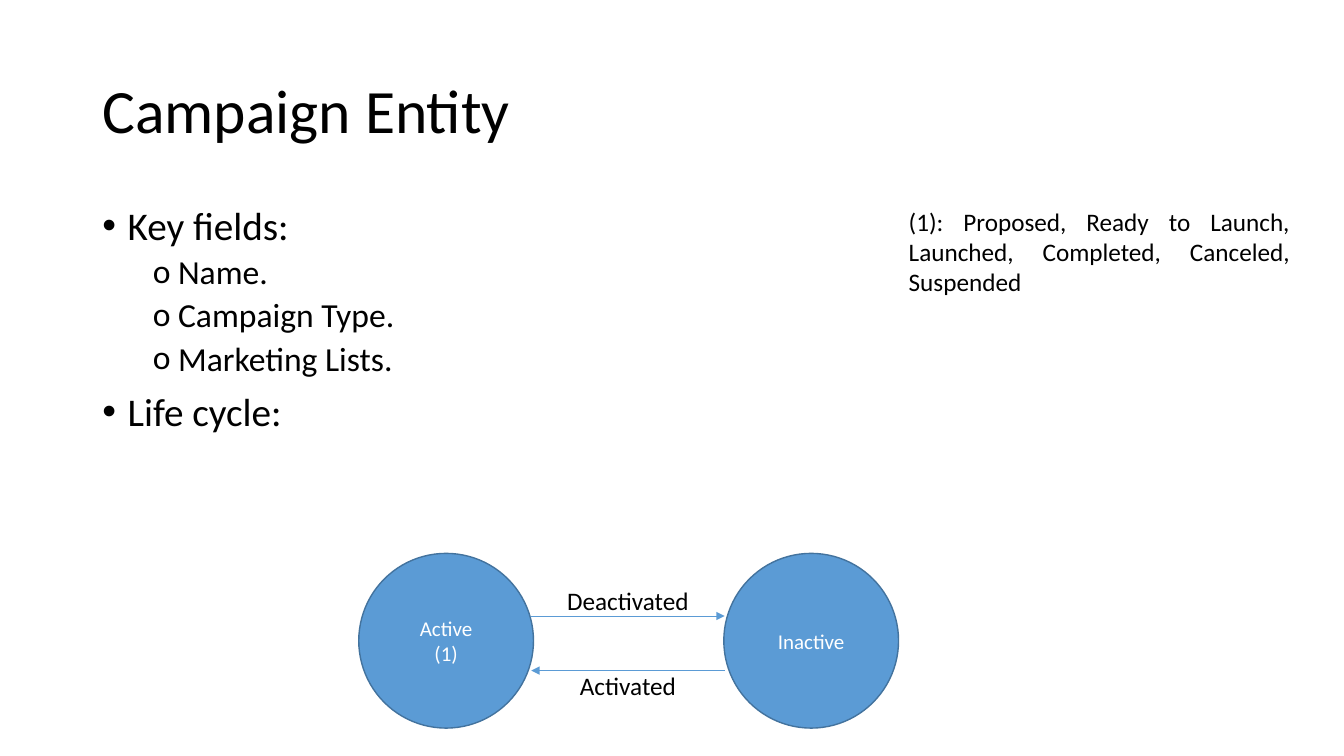
from dataclasses import dataclass
from lxml.etree import SubElement
from pptx import Presentation
from pptx.dml.color import RGBColor as RGB
from pptx.enum.shapes import MSO_CONNECTOR as Link, MSO_SHAPE as Shape
from pptx.enum.text import MSO_ANCHOR as Anchor, MSO_AUTO_SIZE as Fit, PP_ALIGN as Align
from pptx.oxml.ns import qn
from pptx.util import Pt


@dataclass(frozen=True)
class Theme:
    face: str = "Calibri"
    ink: RGB = RGB(0, 0, 0)
    pale: RGB = RGB(255, 255, 255)
    blue: RGB = RGB(0x5B, 0x9B, 0xD5)
    edge: RGB = RGB(0x43, 0x73, 0x9E)
    title: int = 44
    body: tuple = (28, 24)
    state: int = 15
    note: int = 18


theme = Theme()


def style(para, size, color, align):
    para.alignment = align
    para.font.name = theme.face
    para.font.size = Pt(size)
    para.font.color.rgb = color


def label(text, left, top, width, height, align):
    box = slide.shapes.add_textbox(Pt(left), Pt(top), Pt(width), Pt(height))
    frame = box.text_frame
    frame.word_wrap = True
    frame.auto_size = Fit.SHAPE_TO_FIT_TEXT
    frame.text = text
    style(frame.paragraphs[0], theme.note, theme.ink, align)


deck = Presentation()
deck.slide_width, deck.slide_height = Pt(960), Pt(540)
slide = deck.slides.add_slide(deck.slide_layouts[1])

title, body = slide.placeholders
for holder, top, height in ((title, 28.75, 104.4), (body, 143.75, 342.6)):
    holder.left, holder.top = Pt(66), Pt(top)
    holder.width, holder.height = Pt(828), Pt(height)
    holder.text_frame.auto_size = Fit.NONE

title.text_frame.text = "Campaign Entity"
title.text_frame.vertical_anchor = Anchor.MIDDLE
head = title.text_frame.paragraphs[0]
head.line_spacing = 0.9
style(head, theme.title, theme.ink, Align.LEFT)

items = (
    ("Key fields:", 0),
    ("Name.", 1),
    ("Campaign Type.", 1),
    ("Marketing Lists.", 1),
    ("Life cycle:", 0),
)
body.text_frame.text = "\n".join(text for text, level in items)
for i, (para, (text, level)) in enumerate(zip(body.text_frame.paragraphs, items)):
    para.level = level
    para.line_spacing = 0.9
    para.space_before = Pt((10, 5)[level] if i else 0)
    props = para._p.get_or_add_pPr()
    props.set("marL", str(Pt(18 + 36 * level)))
    props.set("indent", str(Pt(-18)))
    SubElement(props, qn("a:buFont")).set("typeface", ("Arial", theme.face)[level])
    SubElement(props, qn("a:buChar")).set("char", "•o"[level])
    style(para, theme.body[level], theme.ink, Align.LEFT)

for text, left in (("Inactive", 517), ("Active\n(1)", 256.25)):
    state = slide.shapes.add_shape(Shape.OVAL, Pt(left), Pt(395.25), Pt(124.8), Pt(124.8))
    state.shadow.inherit = False
    state.fill.solid()
    state.fill.fore_color.rgb = theme.blue
    state.line.color.rgb = theme.edge
    state.line.width = Pt(1)
    state.text_frame.text = text
    state.text_frame.vertical_anchor = Anchor.MIDDLE
    for para in state.text_frame.paragraphs:
        style(para, theme.state, theme.pale, Align.CENTER)

near, far = 379.5, 517.6
moves = (
    ("Deactivated", near, far, 440, 414.6),
    ("Activated", far, near, 479, 475.2),
)
for text, start, end, y, top in moves:
    arrow = slide.shapes.add_connector(Link.STRAIGHT, Pt(start), Pt(y), Pt(end), Pt(y))
    arrow.line.color.rgb = theme.blue
    arrow.line.width = Pt(0.5)
    SubElement(arrow.line._get_or_add_ln(), qn("a:tailEnd")).set("type", "triangle")
    SubElement(arrow._element.spPr, qn("a:effectLst"))
    label(text, 388.8, top, 119.5, 29, Align.CENTER)

label(
    "(1): Proposed, Ready to Launch, Launched, Completed, Canceled, Suspended",
    642, 143.75, 286.5, 72.7, Align.JUSTIFY,
)

deck.save("out.pptx")
